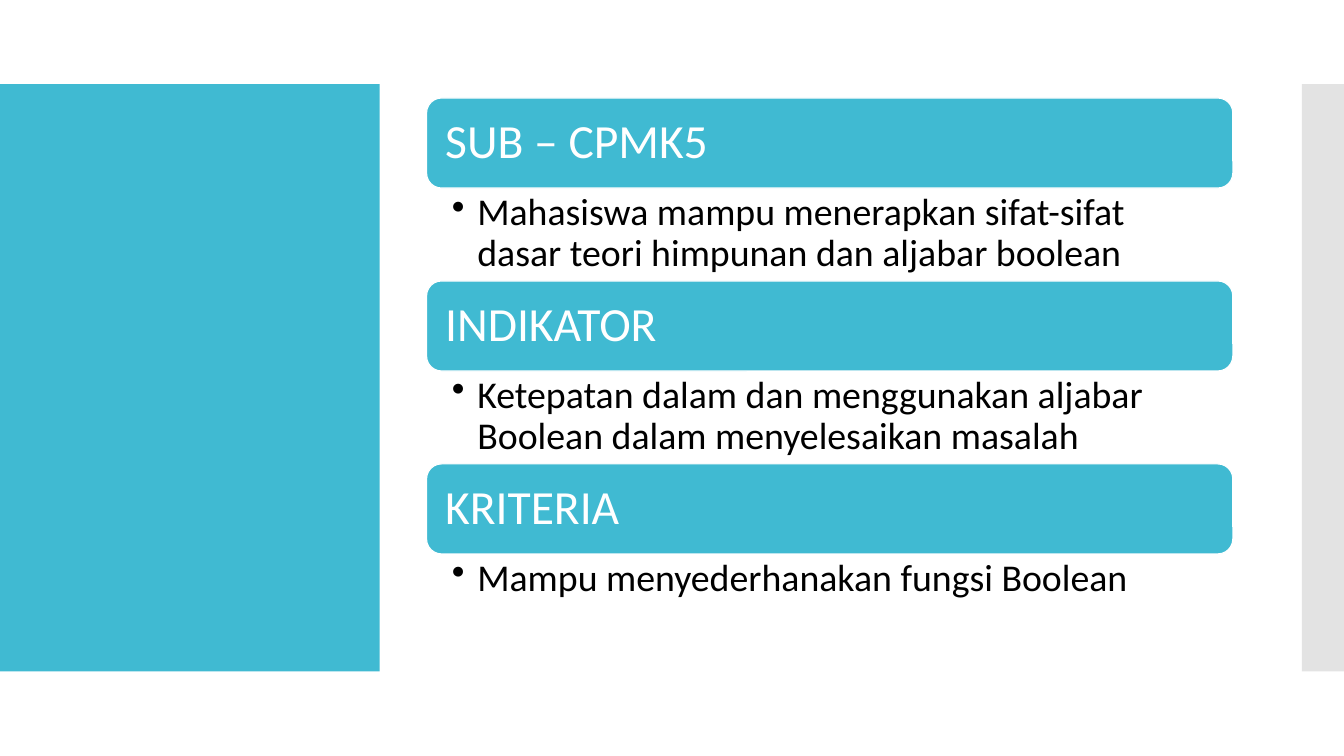
from lxml import etree
from pptx import Presentation
from pptx.dml.color import RGBColor
from pptx.enum import shapes, text
from pptx.oxml.ns import qn
from pptx.util import Cm, Pt

SECTIONS = [
    ("SUB – CPMK5", "Mahasiswa mampu menerapkan sifat-sifat dasar teori himpunan dan aljabar boolean"),
    ("INDIKATOR", "Ketepatan dalam dan menggunakan aljabar Boolean dalam menyelesaikan masalah"),
    ("KRITERIA", "Mampu menyederhanakan fungsi Boolean"),
]

THEME = {
    "font": "Calibri",
    "accent": RGBColor(0x40, 0xBA, 0xD2),
    "edge": RGBColor(0xE3, 0xE3, 0xE3),
    "light": RGBColor(0xFF, 0xFF, 0xFF),
    "dark": RGBColor(0, 0, 0),
    "heading": Pt(34),
    "detail": Pt(27),
}

PAGE_WIDTH, PAGE_HEIGHT = Cm(33.87), Cm(19.05)
BAND_TOP, BAND_HEIGHT = Cm(2.12), Cm(14.8)
SIDE_WIDTH, EDGE_WIDTH = Cm(9.57), Cm(1.06)
LIST_LEFT, LIST_TOP, LIST_WIDTH = Cm(10.75), Cm(2.47), Cm(20.32)
HEADING_HEIGHT, DETAIL_HEIGHT = Cm(2.27), Cm(2.34)
BULLET_INDENT = Cm(0.64)


def add_block(page, kind, left, top, width, height, color):
    block = page.shapes.add_shape(kind, left, top, width, height)
    block.shadow.inherit = False
    block.fill.solid()
    block.fill.fore_color.rgb = color
    block.line.fill.background()
    return block


def write(box, words, size, color, anchor, insets):
    """Fill a box with one left-aligned paragraph; insets are left, top, right, bottom."""
    frame = box.text_frame
    frame.word_wrap = True
    frame.vertical_anchor = anchor
    frame.margin_left, frame.margin_top, frame.margin_right, frame.margin_bottom = insets
    para = frame.paragraphs[0]
    para.text = words
    para.alignment = text.PP_ALIGN.LEFT
    para.line_spacing = 0.9
    para.font.name = THEME["font"]
    para.font.size = size
    para.font.color.rgb = color
    return para


def add_bullet(para):
    properties = para._p.get_or_add_pPr()
    properties.set("marL", str(BULLET_INDENT))
    properties.set("indent", str(-BULLET_INDENT))
    bullet = etree.Element(qn("a:buChar"), char="•")
    properties.find(qn("a:defRPr")).addprevious(bullet)


def add_section(page, top, heading, detail):
    bar = add_block(page, shapes.MSO_SHAPE.ROUNDED_RECTANGLE,
                    LIST_LEFT, top, LIST_WIDTH, HEADING_HEIGHT, THEME["accent"])
    bar.line.color.rgb = THEME["light"]
    bar.line.width = Pt(0.85)
    write(bar, heading, THEME["heading"], THEME["light"],
          text.MSO_ANCHOR.MIDDLE, [Cm(0.36)] * 4)

    box = page.shapes.add_textbox(LIST_LEFT, top + HEADING_HEIGHT, LIST_WIDTH, DETAIL_HEIGHT)
    para = write(box, detail, THEME["detail"], THEME["dark"],
                 text.MSO_ANCHOR.TOP, (Cm(0.64), Cm(0.12), Cm(0.66), Cm(0.12)))
    add_bullet(para)


def main():
    deck = Presentation()
    deck.slide_width, deck.slide_height = PAGE_WIDTH, PAGE_HEIGHT
    page = deck.slides.add_slide(deck.slide_layouts[6])

    for left, width, color in [
        (0, SIDE_WIDTH, THEME["accent"]),
        (PAGE_WIDTH - EDGE_WIDTH, EDGE_WIDTH, THEME["edge"]),
    ]:
        add_block(page, shapes.MSO_SHAPE.RECTANGLE, left, BAND_TOP, width, BAND_HEIGHT, color)

    for index, (heading, detail) in enumerate(SECTIONS):
        top = LIST_TOP + index * (HEADING_HEIGHT + DETAIL_HEIGHT)
        add_section(page, top, heading, detail)

    deck.save("out.pptx")


if __name__ == "__main__":
    main()
